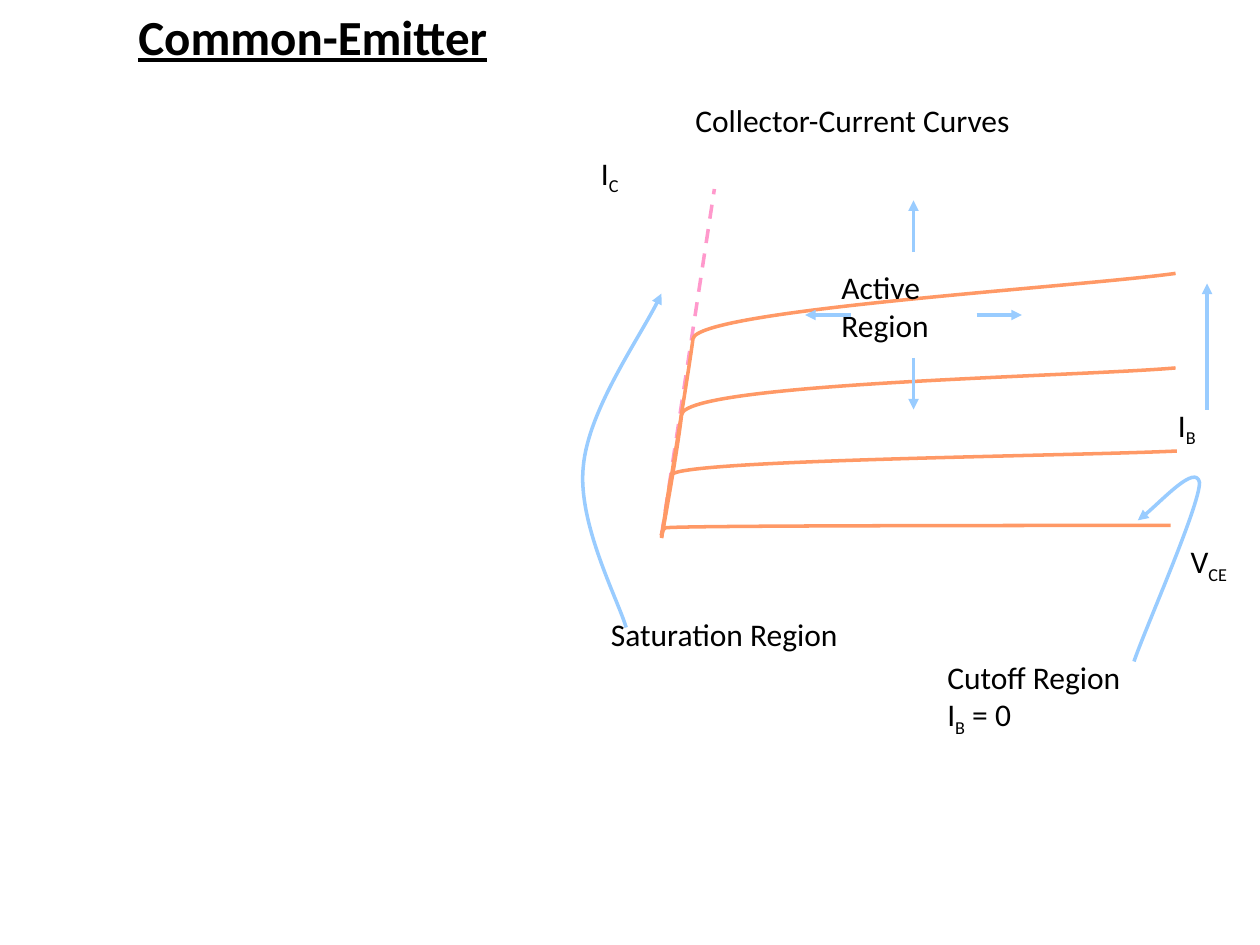
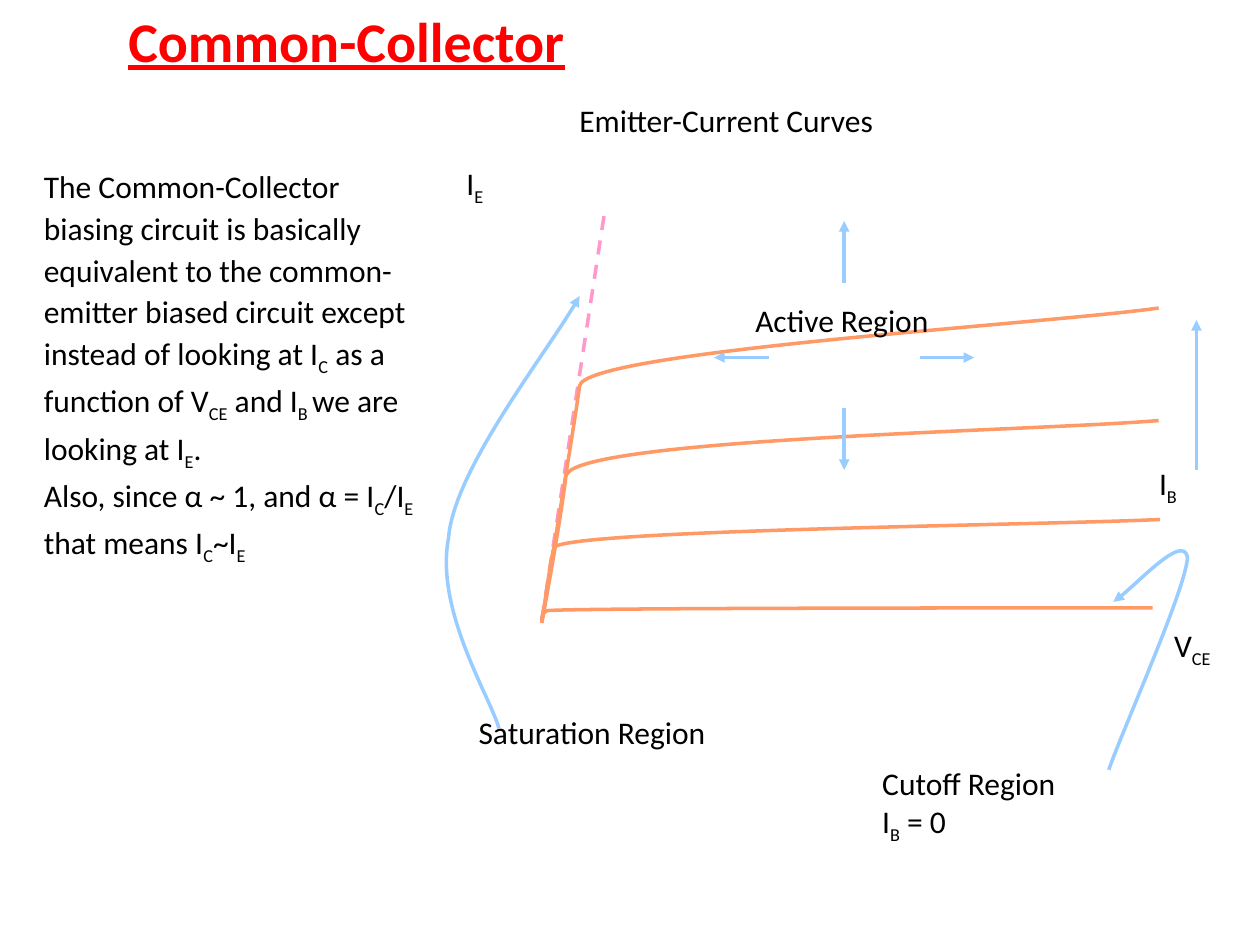
from dataclasses import dataclass
from typing import NamedTuple

from lxml.etree import SubElement
from pptx import Presentation
from pptx.dml.color import RGBColor
from pptx.enum.dml import MSO_LINE
from pptx.enum.shapes import MSO_CONNECTOR
from pptx.enum.text import MSO_AUTO_SIZE
from pptx.oxml.ns import qn
from pptx.util import Inches, Pt

BLACK = RGBColor(0x00, 0x00, 0x00)
RED = RGBColor(0xFF, 0x00, 0x00)
CURVE_ORANGE = RGBColor(0xFF, 0x99, 0x66)
SATURATION_PINK = RGBColor(0xFF, 0x99, 0xCC)
ARROW_BLUE = RGBColor(0x99, 0xCC, 0xFF)

FONT = "Calibri"
BODY_SIZE = 18
LINE_WIDTH = Pt(2)


class Point(NamedTuple):
    x: float
    y: float


class Box(NamedTuple):
    left: float
    top: float
    width: float
    height: float


class Label(NamedTuple):
    text: str
    box: Box


@dataclass(frozen=True)
class Plot:
    """Place and scale of a set of curves, with the parts that vary."""
    origin: Point
    x_scale: float
    y_scale: float
    current: str
    saturation_pointer: list[tuple[float, float]]

    def at(self, x: float, y: float) -> Point:
        return Point(self.origin.x + x * self.x_scale, self.origin.y + y * self.y_scale)


@dataclass(frozen=True)
class Page:
    title: str
    title_box: Box
    title_size: int
    title_color: RGBColor
    heading: Label
    plot: Plot
    explanation: Label | None = None


# Offsets from the plot origin: a start, then three points per Bézier segment.
BASE_CURRENT_CURVES = [
    [(0, 0), (0, -0.01), (0, -0.04), (0.03, -0.06), (0.06, -0.08), (3.2, -0.08), (4.04, -0.08)],
    [(0, 0), (0.02, -0.08), (0.05, -0.36), (0.08, -0.48), (0.11, -0.6), (3.25, -0.63), (4.09, -0.67)],
    [(0, 0.02), (0.03, -0.14), (0.13, -0.7), (0.16, -0.96), (0.2, -1.21), (3.27, -1.26), (4.08, -1.33)],
    [(0, 0.02), (0.04, -0.24), (0.22, -1.32), (0.25, -1.56), (0.28, -1.79), (3.29, -1.97), (4.08, -2.08)],
]
CUTOFF_POINTER = [(3.75, 1), (3.83, 0.76), (4.27, -0.23), (4.27, -0.42),
                  (4.24, -0.57), (3.89, -0.19), (3.78, -0.12)]
REGION_ARROWS = [
    *[((2 + side * 0.5, -1.75), (2 + side * 0.86, -1.75)) for side in (1, -1)],
    *[((2, -1.83 + side * 0.42), (2, -1.83 + side * 0.83)) for side in (-1, 1)],
]
BASE_CURRENT_ARROW = ((4.33, -1), (4.33, -2))

PAGES = [
    Page(
        "Common-Emitter", Box(1, 0, 8, 0.57), 28, BLACK,
        Label("Collector-Current Curves", Box(5.42, 0.75, 3.58, 0.43)),
        Plot(Point(5.25, 4.25), 1, 1, "I|C",
             [(4.97, 4.98), (4.91, 4.77), (4.58, 4.15), (4.63, 3.7),
              (4.67, 3.26), (5.12, 2.62), (5.25, 2.33)]),
    ),
    Page(
        "Common-Collector", Box(0.92, 0, 8, 0.64), 32, RED,
        Label("Emitter-Current Curves", Box(4.5, 0.75, 4.3, 0.43)),
        Plot(Point(4.3, 4.92), 1.2, 1.19, "I|E",
             [(3.96, 5.78), (3.89, 5.53), (3.45, 4.84), (3.56, 4.27),
              (3.6, 3.74), (4.38, 2.75), (4.6, 2.35)]),
        Label(
            "The Common-Collector biasing circuit is basically equivalent to the "
            "common-emitter biased circuit except instead of looking at I|C| as a "
            "function of V|CE| and I|B |we are looking at I|E|.\n"
            "Also, since α ~ 1, and α = I|C|/I|E| that means I|C|~I|E",
            Box(0.25, 1.25, 3.17, 5.03),
        ),
    ),
]


def add_text(slide, label: Label, size: int = BODY_SIZE, color: RGBColor = BLACK,
             title: bool = False, spacing: float | None = None) -> None:
    """Write a label; every second part between bars is a subscript."""
    frame = slide.shapes.add_textbox(*map(Inches, label.box)).text_frame
    frame.word_wrap = True
    frame.auto_size = MSO_AUTO_SIZE.SHAPE_TO_FIT_TEXT
    for index, line in enumerate(label.text.split("\n")):
        paragraph = frame.add_paragraph() if index else frame.paragraphs[0]
        if spacing:
            paragraph.line_spacing = spacing
        for position, part in enumerate(line.split("|")):
            run = paragraph.add_run()
            run.text = part
            run.font.name = FONT
            run.font.size = Pt(size)
            run.font.color.rgb = color
            if title:
                run.font.bold = run.font.underline = True
            if position % 2:
                run._r.get_or_add_rPr().set("baseline", "-25000")


def style_line(shape, color: RGBColor, arrow: bool, dashed: bool = False) -> None:
    shape.line.color.rgb = color
    shape.line.width = LINE_WIDTH
    if dashed:
        shape.line.dash_style = MSO_LINE.DASH
    if arrow:
        SubElement(shape.line._get_or_add_ln(), qn("a:tailEnd"), type="triangle")


def add_line(slide, start: Point, end: Point, color: RGBColor,
             arrow: bool = False, dashed: bool = False) -> None:
    line = slide.shapes.add_connector(
        MSO_CONNECTOR.STRAIGHT, *map(Inches, (*start, *end)))
    style_line(line, color, arrow, dashed)
    SubElement(line._element.spPr, qn("a:effectLst"))


def add_curve(slide, points: list[Point], color: RGBColor, arrow: bool = False) -> None:
    """Draw a freeform, turning each three line segments into one Bézier segment."""
    start, *others = [(Inches(x), Inches(y)) for x, y in points]
    builder = slide.shapes.build_freeform(*start)
    builder.add_line_segments(others, close=False)
    curve = builder.convert_to_shape()
    segments = curve._element.xpath(".//a:lnTo")
    for first in range(0, len(segments), 3):
        bezier = SubElement(segments[first].getparent(), qn("a:cubicBezTo"))
        for segment in segments[first:first + 3]:
            bezier.append(segment[0])
            segment.getparent().remove(segment)
    curve.fill.background()
    curve.shadow.inherit = False
    style_line(curve, color, arrow)


def add_plot(slide, plot: Plot) -> None:
    def write(text: str, x: float, y: float, width: float, height: float) -> None:
        add_text(slide, Label(text, Box(*plot.at(x, y), width * plot.x_scale, height)))

    def place(offsets: list[tuple[float, float]]) -> list[Point]:
        return [plot.at(*offset) for offset in offsets]

    write("V|CE", 4.1, 0, 0.65, 0.43)
    write(plot.current, -0.58, -3.08, 0.65, 0.43)
    add_line(slide, plot.origin, plot.at(0.42, -2.75), SATURATION_PINK, dashed=True)
    for offsets in BASE_CURRENT_CURVES:
        add_curve(slide, place(offsets), CURVE_ORANGE)
    write("Active Region", 1.33, -2.17, 1.33, 0.7)
    for start, end in [*REGION_ARROWS, BASE_CURRENT_ARROW]:
        add_line(slide, plot.at(*start), plot.at(*end), ARROW_BLUE, arrow=True)
    write("I|B", 4, -1.08, 0.65, 0.43)
    for pointer in (plot.saturation_pointer, place(CUTOFF_POINTER)):
        add_curve(slide, pointer, ARROW_BLUE, arrow=True)
    write("Saturation Region", -0.5, 0.58, 2.67, 0.4)
    write("Cutoff Region\nI|B| = 0", 2.17, 0.92, 2, 0.7)


def add_page(presentation, page: Page) -> None:
    slide = presentation.slides.add_slide(presentation.slide_layouts[6])
    add_text(slide, Label(page.title, page.title_box), page.title_size,
             page.title_color, title=True)
    add_text(slide, page.heading)
    add_plot(slide, page.plot)
    if page.explanation:
        add_text(slide, page.explanation, spacing=1.1)


def main() -> None:
    presentation = Presentation()
    presentation.slide_width = Inches(10)
    presentation.slide_height = Inches(7.5)
    for page in PAGES:
        add_page(presentation, page)
    presentation.save("out.pptx")


if __name__ == "__main__":
    main()
